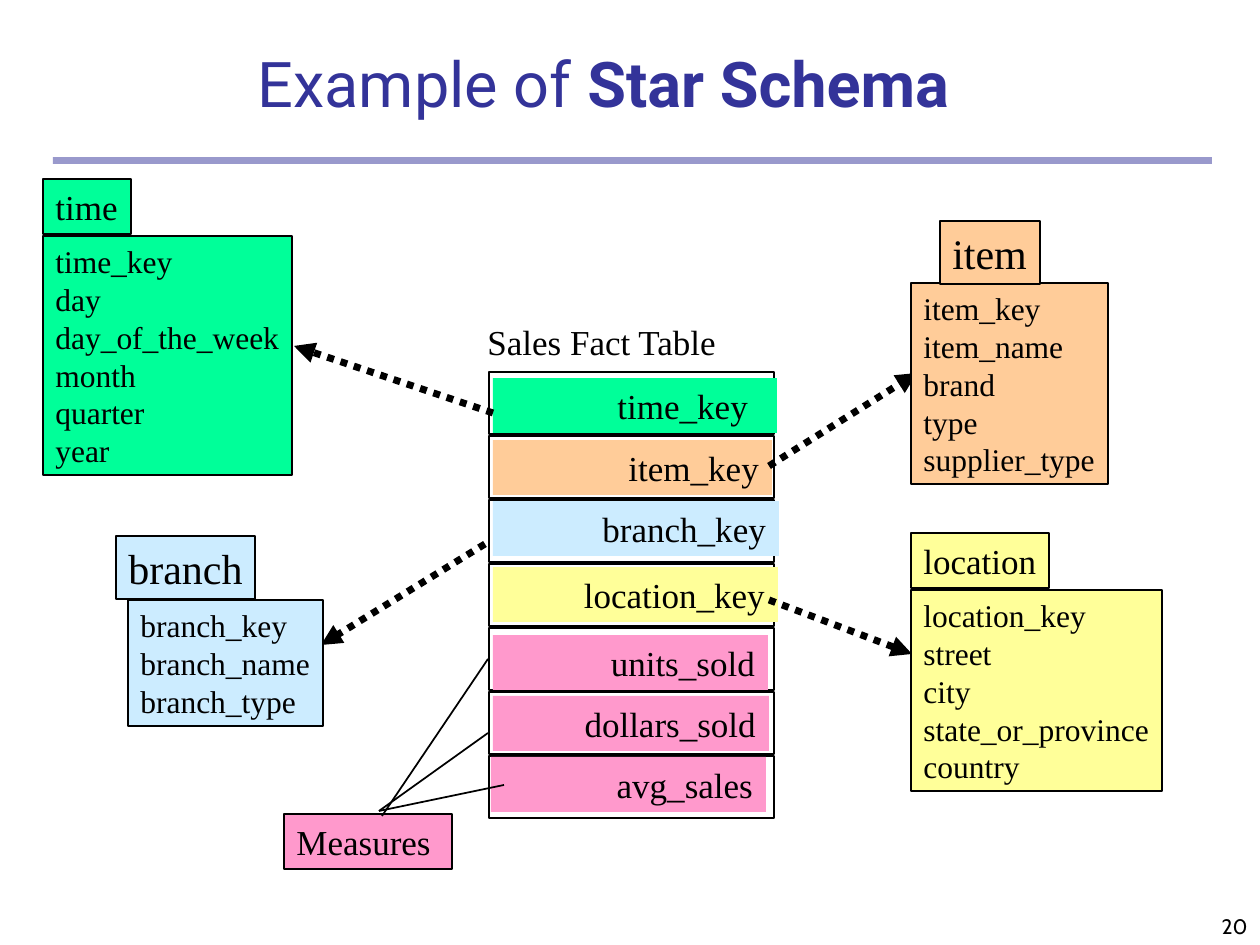
from lxml.etree import SubElement
from pptx import Presentation
from pptx.dml.color import RGBColor
from pptx.enum.dml import MSO_LINE
from pptx.enum.shapes import MSO_CONNECTOR, MSO_SHAPE
from pptx.enum.text import MSO_ANCHOR, MSO_AUTO_SIZE, PP_ALIGN
from pptx.oxml.ns import qn
from pptx.util import Pt

EMU_PER_PX = 914400 / 126
SERIF = "Times New Roman"
BLACK = RGBColor(0x00, 0x00, 0x00)
NAVY = RGBColor(0x33, 0x33, 0x99)
LAVENDER = RGBColor(0x99, 0x99, 0xCC)
GREEN = RGBColor(0x00, 0xFF, 0x99)
ORANGE = RGBColor(0xFF, 0xCC, 0x99)
BLUE = RGBColor(0xCC, 0xEC, 0xFF)
YELLOW = RGBColor(0xFF, 0xFF, 0x99)
PINK = RGBColor(0xFF, 0x99, 0xCC)

# Dimension tables: colour, heading, heading box, heading size, columns, column box
TIME = (GREEN, "time", (43, 179, 88, 55), 20,
        ["time_key", "day", "day_of_the_week", "month", "quarter", "year"],
        (43, 236, 249, 239))
LOCATION = (YELLOW, "location", (911, 533, 138, 55), 20,
            ["location_key", "street", "city", "state_or_province", "country"],
            (911, 590, 251, 201))
ITEM = (ORANGE, "item", (940, 221, 100, 63), 24,
        ["item_key", "item_name", "brand", "type", "supplier_type"],
        (911, 283, 197, 201))
BRANCH = (BLUE, "branch", (116, 536, 139, 63), 24,
          ["branch_key", "branch_name", "branch_type"],
          (128, 600, 195, 126))

# Fact table rows: text, colour, fill box, right inset
FACT_ROWS = [
    ("time_key", GREEN, (493, 378, 284, 55), 29),
    ("item_key", ORANGE, (493, 440, 279, 55), 13),
    ("branch_key", BLUE, (493, 501, 286, 55), 13),
    ("location_key", YELLOW, (493, 567, 285, 55), 13),
    ("units_sold", PINK, (493, 635, 275, 55), 13),
    ("dollars_sold", PINK, (493, 696, 276, 55), 13),
    ("avg_sales", PINK, (491, 757, 275, 55), 13),
]
ROW_LEFT, ROW_TOP, ROW_STEP, ROW_WIDTH, ROW_HEIGHT = 489, 372, 64, 285, 62

MEASURE_LINES = [(382, 816, 488, 659), (379, 811, 488, 733), (379, 811, 504, 785)]
KEY_ARROWS = [(485, 544, 321, 645), (493, 413, 294, 346),
              (769, 600, 912, 654), (769, 466, 917, 373)]


def px(*lengths):
    return [round(n * EMU_PER_PX) for n in lengths]


def add_run(p, text, size, font, color=BLACK, bold=False):
    r = p.add_run()
    r.text = text
    r.font.size = Pt(size)
    r.font.name = font
    r.font.bold = bold
    r.font.color.rgb = color


def write_lines(s, lines, size, align=PP_ALIGN.LEFT, font=SERIF, wrap=False):
    tf = s.text_frame
    tf.word_wrap = wrap
    tf.vertical_anchor = MSO_ANCHOR.TOP
    for i, line in enumerate(lines):
        p = tf.add_paragraph() if i else tf.paragraphs[0]
        p.alignment = align
        add_run(p, line, size, font)


def add_box(slide, box, fill=None, line_width=None):
    s = slide.shapes.add_shape(MSO_SHAPE.RECTANGLE, *px(*box))
    s.shadow.inherit = False
    if fill is None:
        s.fill.background()
    else:
        s.fill.solid()
        s.fill.fore_color.rgb = fill
    if line_width is None:
        s.line.fill.background()
    else:
        s.line.color.rgb = BLACK
        s.line.width = Pt(line_width)
    return s


def add_label(slide, box, text, size, font=SERIF, align=PP_ALIGN.LEFT):
    s = slide.shapes.add_textbox(*px(*box))
    write_lines(s, [text], size, align, font)
    return s


def add_dimension(slide, color, name, name_box, name_size, columns, columns_box):
    write_lines(add_box(slide, columns_box, color, 0.75), columns, 18)
    write_lines(add_box(slide, name_box, color, 0.75), [name], name_size)


def add_fact_table(slide):
    for i, (text, color, box, inset) in enumerate(FACT_ROWS):
        top = ROW_TOP + i * ROW_STEP
        add_box(slide, (ROW_LEFT, top, ROW_WIDTH, ROW_HEIGHT), line_width=1)
        s = add_box(slide, box, color)
        s.text_frame.margin_right = px(inset)[0]
        write_lines(s, [text], 20, PP_ALIGN.RIGHT, wrap=True)


def add_line(slide, ends, width):
    c = slide.shapes.add_connector(MSO_CONNECTOR.STRAIGHT, *px(*ends))
    c.line.color.rgb = BLACK
    c.line.width = Pt(width)
    SubElement(c._element.spPr, qn("a:effectLst"))
    return c


def add_dotted_arrow(slide, ends):
    c = add_line(slide, ends, 4)
    c.line.dash_style = MSO_LINE.ROUND_DOT
    SubElement(c.line._get_or_add_ln(), qn("a:tailEnd"), type="triangle")


def add_title(slide):
    title = slide.shapes.title
    title.left, title.top, title.width, title.height = px(68, 57, 1071, 69)
    tf = title.text_frame
    tf.auto_size = MSO_AUTO_SIZE.NONE
    tf.word_wrap = True
    tf.vertical_anchor = MSO_ANCHOR.BOTTOM
    p = tf.paragraphs[0]
    p.alignment = PP_ALIGN.CENTER
    add_run(p, "Example of ", 36, "Roboto", NAVY)
    add_run(p, "Star Schema", 36, "Roboto", NAVY, bold=True)


def main():
    prs = Presentation()
    prs.slide_width, prs.slide_height = px(1260, 945)
    slide = prs.slides.add_slide(prs.slide_layouts[5])

    # Title, rule and page number
    add_box(slide, (53, 157, 1159, 7), LAVENDER)
    add_title(slide)
    number = add_label(slide, (998, 882, 262, 63), "20", 12, "Cabin", PP_ALIGN.RIGHT)
    number.text_frame.word_wrap = True
    number.text_frame.vertical_anchor = MSO_ANCHOR.BOTTOM

    # Fact table with its measures
    add_label(slide, (475, 314, 257, 55), "Sales Fact Table", 20)
    add_fact_table(slide)
    measures = add_box(slide, (284, 814, 168, 55), PINK, 0.75)
    write_lines(measures, ["Measures"], 20, wrap=True)
    for ends in MEASURE_LINES:
        add_line(slide, ends, 1)

    # Dimension tables, some lying over the arrow ends
    for dimension in (TIME, LOCATION):
        add_dimension(slide, *dimension)
    for ends in KEY_ARROWS:
        add_dotted_arrow(slide, ends)
    for dimension in (ITEM, BRANCH):
        add_dimension(slide, *dimension)

    prs.save("out.pptx")


if __name__ == "__main__":
    main()
